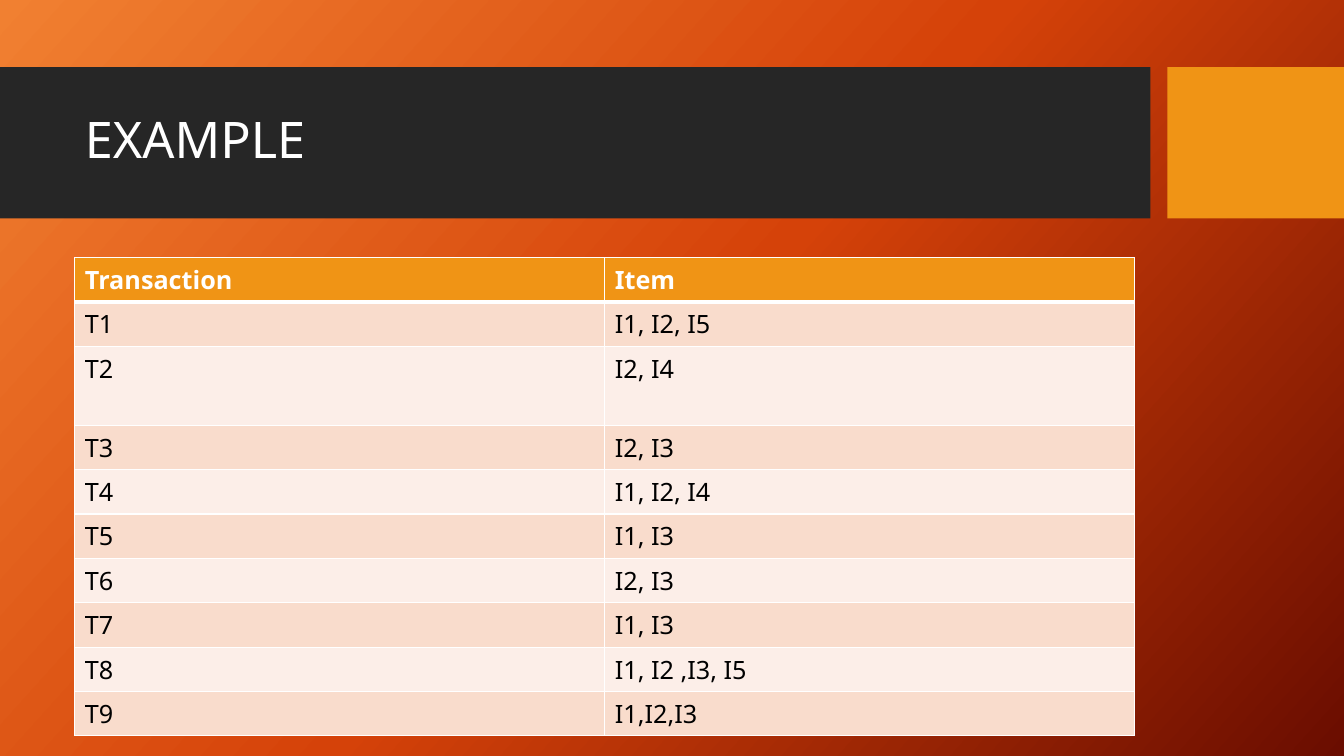
from copy import deepcopy

from lxml import etree
from pptx import Presentation
from pptx.dml.color import RGBColor
from pptx.enum import shapes, text
from pptx.oxml.ns import qn
from pptx.util import Pt

TITLE = "EXAMPLE"
ROWS = [
    ("Transaction", "Item"),
    ("T1", "I1, I2, I5"),
    ("T2", "I2, I4"),
    ("T3", "I2, I3"),
    ("T4", "I1, I2, I4"),
    ("T5", "I1, I3"),
    ("T6", "I2, I3"),
    ("T7", "I1, I3"),
    ("T8", "I1, I2 ,I3, I5"),
    ("T9", "I1,I2,I3"),
]
TALL_ROW = 2

THEME = {
    "font": "Noto Sans",
    "title_size": 36,
    "table_size": 18,
    "backdrop": [(0, "F18031"), (0.5, "D54209"), (1, "6A0D00")],
    "backdrop_angle": 42,
    "band": "262626",
    "accent": "F09415",
    "light": "FFFFFF",
    "dark": "000000",
    "stripes": ["FCEEE8", "F9DCCC"],
}

SLIDE_WIDTH, SLIDE_HEIGHT = 960, 540
BAND_TOP, BAND_HEIGHT = 48, 108
BAND_WIDTH, ACCENT_LEFT = 821.8, 833.8
CONTENT_LEFT, CONTENT_WIDTH = 53.5, 757
TITLE_TOP, TITLE_HEIGHT = 59, 85
TABLE_TOP, ROW_HEIGHT, TALL_HEIGHT = 184, 31.7, 56.4
GRID_LINE, HEADER_LINE = 1, 3


def color(name):
    return RGBColor.from_string(THEME.get(name, name))


def paint_backdrop(page):
    fill = page.background.fill
    fill.gradient()
    fill.gradient_angle = 360 - THEME["backdrop_angle"]
    stop_list = next(page.background._cSld.iter(qn("a:gsLst")))
    stop_list.insert(1, deepcopy(stop_list[0]))
    for stop, (position, shade) in zip(fill.gradient_stops, THEME["backdrop"]):
        stop.position = position
        stop.color.rgb = color(shade)


def add_bar(page, left, width, shade):
    bar = page.shapes.add_shape(shapes.MSO_SHAPE.RECTANGLE, Pt(left), Pt(BAND_TOP),
                                Pt(width), Pt(BAND_HEIGHT))
    bar.shadow.inherit = False
    bar.fill.solid()
    bar.fill.fore_color.rgb = color(shade)
    bar.line.fill.background()


def write(para, words, size, shade, bold=False):
    span = para.add_run()
    span.text = words
    span.font.name = THEME["font"]
    span.font.size = Pt(THEME[size])
    span.font.bold = bold
    span.font.color.rgb = color(shade)


def add_title(page):
    box = page.shapes.add_textbox(Pt(CONTENT_LEFT), Pt(TITLE_TOP),
                                  Pt(CONTENT_WIDTH), Pt(TITLE_HEIGHT))
    frame = box.text_frame
    frame.word_wrap = True
    frame.vertical_anchor = text.MSO_ANCHOR.MIDDLE
    frame.paragraphs[0].line_spacing = 0.9
    write(frame.paragraphs[0], TITLE, "title_size", "light")


def add_borders(cell, top, bottom):
    properties = cell._tc.get_or_add_tcPr()
    widths = {"lnL": GRID_LINE, "lnR": GRID_LINE, "lnT": top, "lnB": bottom}
    for index, (side, width) in enumerate(widths.items()):
        line = etree.Element(qn("a:" + side), w=str(Pt(width)))
        solid = etree.SubElement(line, qn("a:solidFill"))
        etree.SubElement(solid, qn("a:srgbClr"), val=THEME["light"])
        properties.insert(index, line)


def add_transactions(page):
    heights = [TALL_HEIGHT if row == TALL_ROW else ROW_HEIGHT for row in range(len(ROWS))]
    columns = len(ROWS[0])
    table = page.shapes.add_table(len(ROWS), columns, Pt(CONTENT_LEFT), Pt(TABLE_TOP),
                                  Pt(CONTENT_WIDTH), Pt(sum(heights))).table
    for column in table.columns:
        column.width = Pt(CONTENT_WIDTH / columns)
    for row, (entries, height) in enumerate(zip(ROWS, heights)):
        table.rows[row].height = Pt(height)
        header = row == 0
        for column, words in enumerate(entries):
            cell = table.cell(row, column)
            cell.fill.solid()
            cell.fill.fore_color.rgb = color("accent" if header else THEME["stripes"][row % 2])
            add_borders(cell, HEADER_LINE if row == 1 else GRID_LINE,
                        HEADER_LINE if header else GRID_LINE)
            write(cell.text_frame.paragraphs[0], words, "table_size",
                  "light" if header else "dark", header)


def main():
    deck = Presentation()
    deck.slide_width, deck.slide_height = Pt(SLIDE_WIDTH), Pt(SLIDE_HEIGHT)
    page = deck.slides.add_slide(deck.slide_layouts[6])
    paint_backdrop(page)
    add_bar(page, 0, BAND_WIDTH, "band")
    add_bar(page, ACCENT_LEFT, SLIDE_WIDTH - ACCENT_LEFT, "accent")
    add_title(page)
    add_transactions(page)
    deck.save("out.pptx")


if __name__ == "__main__":
    main()
